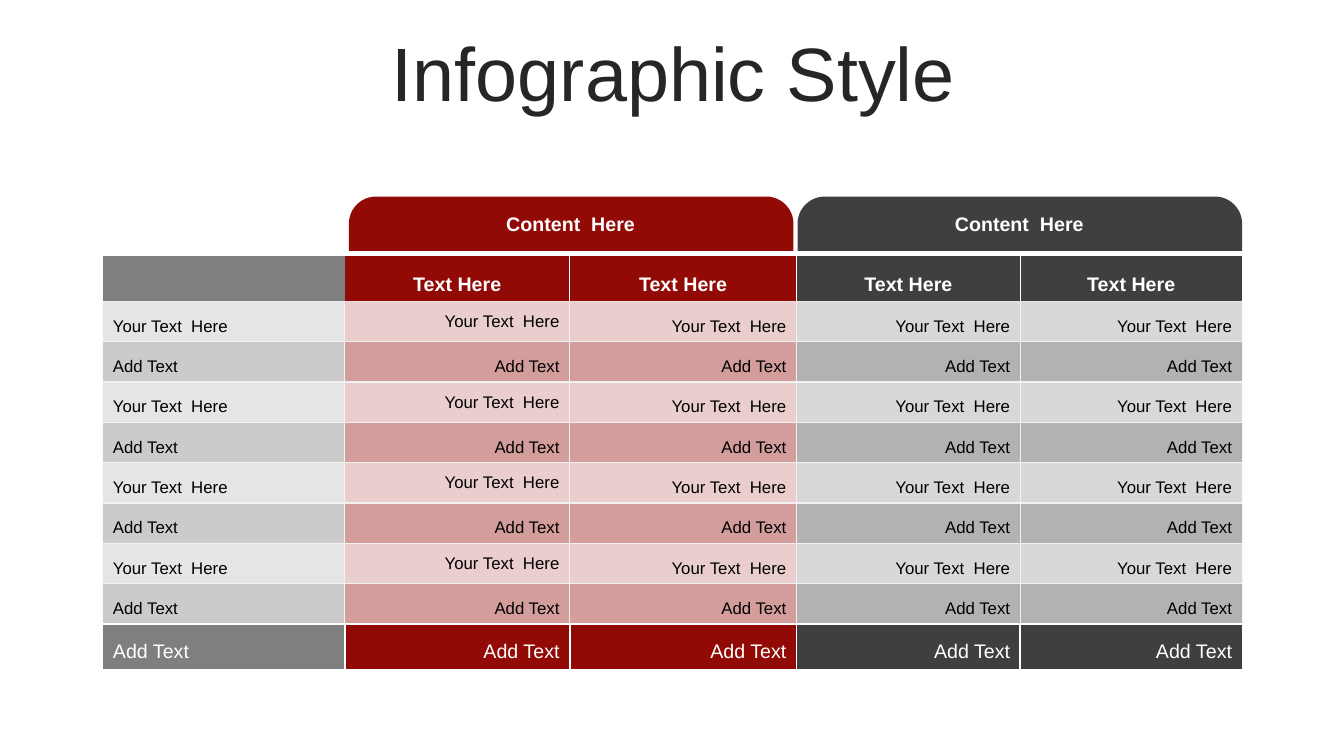
"""Build the Infographic Style slide: a two-group table under rounded tabs."""
from lxml import etree
from pptx import Presentation
from pptx.dml.color import RGBColor
from pptx.enum.shapes import MSO_SHAPE
from pptx.enum.text import MSO_ANCHOR, MSO_AUTO_SIZE, PP_ALIGN
from pptx.oxml.ns import qn
from pptx.util import Inches, Pt

LEFT, CENTER, RIGHT = PP_ALIGN.LEFT, PP_ALIGN.CENTER, PP_ALIGN.RIGHT
MIDDLE = MSO_ANCHOR.MIDDLE
FIT_NONE, FIT_SHAPE = MSO_AUTO_SIZE.NONE, MSO_AUTO_SIZE.SHAPE_TO_FIT_TEXT
TAB_SHAPE = MSO_SHAPE.ROUND_2_SAME_RECTANGLE
COLORS = {"title": "262626", "gray": "7F7F7F", "red": "920A06", "dark": "3F3F3F",
          "grid": "F2F2F2", "white": "FFFFFF", "black": "000000"}
PLAIN_TABLE_STYLE = "{2D5ABB26-0587-4C30-8999-92F81FD0307C}"


def write(frame, text, size, color, align, bold=False, spacing=None):
    frame.text = text
    paragraph = frame.paragraphs[0]
    paragraph.alignment = align
    paragraph.line_spacing = spacing
    for run in paragraph.runs:
        run.font.name = "Arial"
        run.font.size = Pt(size)
        run.font.bold = bold
        run.font.color.rgb = RGBColor.from_string(COLORS[color])


def add_border(cell, position, side, color, width):
    line = etree.Element(qn(f"a:ln{side}"), w=str(Pt(width)))
    fill = etree.SubElement(line, qn("a:solidFill"))
    etree.SubElement(fill, qn("a:srgbClr"), val=COLORS[color])
    cell._tc.get_or_add_tcPr().insert(position, line)


prs = Presentation()
prs.slide_width, prs.slide_height = Inches(13.33), Inches(7.5)
slide = prs.slides.add_slide(prs.slide_layouts[5])

title = slide.shapes.title
title.left, title.top = Inches(0.35), Inches(0.37)
title.width, title.height = Inches(12.66), Inches(0.79)
title.text_frame.auto_size = FIT_NONE
title.text_frame.vertical_anchor = MIDDLE
write(title.text_frame, "Infographic Style", 54, "title", CENTER, spacing=0.9)

column_widths = [2.4, 2.23, 2.25, 2.22, 2.2]
row_heights = [0.45] + [0.4] * 8 + [0.45]
column_colors = ["gray", "red", "red", "dark", "dark"]
last_row, last_col = len(row_heights) - 1, len(column_widths) - 1

table_frame = slide.shapes.add_table(len(row_heights), len(column_widths), Inches(1.02),
                                     Inches(2.54), Inches(11.3), Inches(4.09))
table = table_frame.table
table.first_row = table.horz_banding = False
table._tbl.tblPr.find(qn("a:tableStyleId")).text = PLAIN_TABLE_STYLE
for column, width in zip(table.columns, column_widths):
    column.width = Inches(width)

for r, height in enumerate(row_heights):
    table.rows[r].height = Inches(height)
    header, footer = r == 0, r == last_row
    body = not (header or footer)
    odd = r % 2 == 1
    for c, fill_color in enumerate(column_colors):
        cell = table.cell(r, c)
        cell.vertical_anchor = MIDDLE
        cell.fill.solid()
        cell.fill.fore_color.rgb = RGBColor.from_string(COLORS[fill_color])

        if header:
            text, align = ("Text Here" if c else ""), CENTER
        else:
            text = "Your Text  Here" if body and odd else "Add Text"
            align = RIGHT if c else LEFT
        single_spaced = body and odd and c == 1
        write(cell.text_frame, text, 12 if body else 14, "black" if body else "white",
              align, header, None if single_spaced else 1.5)

        if body:
            tint = cell._tc.tcPr.find(".//" + qn("a:srgbClr"))
            etree.SubElement(tint, qn("a:alpha"), val="20000" if odd else "40000")

        line = ("grid" if body else "white", 1.5 if footer else 1)
        above_footer = r == last_row - 1
        edges = [
            ("L", c > (1 if header else 0), line),
            ("R", (1 if header else 0) <= c < last_col, line),
            ("T", r > 1, line),
            ("B", body, ("white", 1.5) if above_footer else line),
        ]
        drawn = [(side, style) for side, shown, style in edges if shown]
        for position, (side, style) in enumerate(drawn):
            add_border(cell, position, side, *style)

for tab_left, tab_color in [(3.46, "red"), (7.91, "dark")]:
    tab = slide.shapes.add_shape(TAB_SHAPE, Inches(tab_left), Inches(1.95),
                                 Inches(4.41), Inches(0.54))
    tab.adjustments[0], tab.adjustments[1] = 0.5, 0
    tab.shadow.inherit = False
    tab.fill.solid()
    tab.fill.fore_color.rgb = RGBColor.from_string(COLORS[tab_color])
    tab.line.fill.background()

    heading = slide.shapes.add_textbox(Inches(tab_left + 0.88), Inches(2.05),
                                       Inches(2.64), Inches(0.34))
    heading.text_frame.word_wrap = True
    heading.text_frame.auto_size = FIT_SHAPE
    write(heading.text_frame, "Content  Here", 14, "white", CENTER, bold=True)

prs.save("out.pptx")
